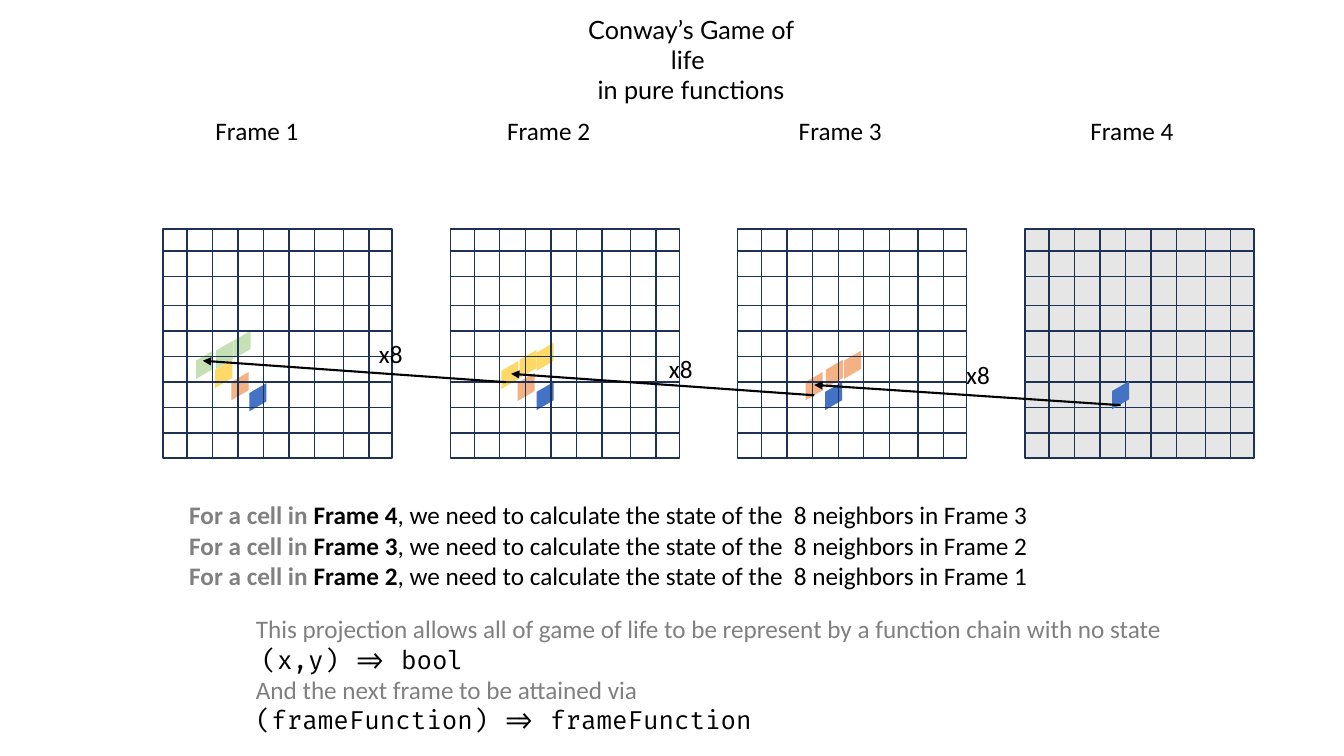
from typing import NamedTuple

from lxml import etree
from pptx import Presentation
from pptx import util as u
from pptx.dml.color import RGBColor
from pptx.enum import shapes, text
from pptx.oxml import ns

BLACK = RGBColor(0x00, 0x00, 0x00)
GRAY = RGBColor(0x80, 0x80, 0x80)
PALE_GRAY = RGBColor(0xE7, 0xE6, 0xE6)
NAVY = RGBColor(0x1E, 0x32, 0x56)
BLUE = RGBColor(0x44, 0x72, 0xC4)
ORANGE = RGBColor(0xF4, 0xB1, 0x83)
YELLOW = RGBColor(0xFF, 0xD9, 0x66)
GREEN = RGBColor(0xC5, 0xE0, 0xB4)

GRID_LEFT, GRID_TOP, GRID_SIZE, GRID_STEP = 4.11, 5.77, 5.77, 7.24
CELL_WIDTH, CELL_HEIGHT, CELL_RISE = 0.43, 0.46, 0.25
LINE_BREAK = "\n"


class Band(NamedTuple):
    left: float
    top: float
    height: float
    rotation: int = 0


class Cell(NamedTuple):
    x: float
    y: float
    color: RGBColor


class Arrow(NamedTuple):
    start: tuple[float, float]
    end: tuple[float, float]


class Run(NamedTuple):
    words: str
    color: RGBColor = BLACK
    bold: bool = False
    font: str = "Calibri"


class Label(NamedTuple):
    left: float
    top: float
    width: float
    height: float
    paragraphs: list[list[Run]]
    wrap: bool = True
    centered: bool = False


# Bands whose edges form the grid lines, relative to the grid corner
BANDS = [
    Band(0, 0, GRID_SIZE),
    Band(0, 1.93, 1.93),
    Band(0, 2.57, 0.64),
    Band(0, 4.5, 0.64),
    Band(0, 0.56, 0.64),
    Band(-0.03, 1.93, 1.93, 90),
    Band(-0.03, 2.57, 0.64, 90),
    Band(-1.96, 2.57, 0.64, 90),
    Band(1.98, 2.57, 0.64, 90),
]

# Cell centres, from frame 4 back to frame 1
CELLS = [
    Cell(28.24, 9.96, BLUE),
    Cell(21.01, 9.98, BLUE),
    Cell(20.52, 9.73, ORANGE),
    Cell(21.03, 9.42, ORANGE),
    Cell(21.49, 9.19, ORANGE),
    Cell(13.26, 9.75, ORANGE),
    Cell(13.74, 9.98, BLUE),
    Cell(12.85, 9.45, YELLOW),
    Cell(13.31, 9.17, YELLOW),
    Cell(13.74, 8.99, YELLOW),
    Cell(6.05, 9.73, ORANGE),
    Cell(6.5, 10.01, BLUE),
    Cell(5.64, 9.42, YELLOW),
    Cell(5.16, 9.19, GREEN),
    Cell(5.66, 8.94, GREEN),
    Cell(6.1, 8.69, GREEN),
]

ARROWS = [
    Arrow((28.24, 10.21), (20.52, 9.7)),
    Arrow((20.52, 9.96), (12.88, 9.42)),
    Arrow((12.75, 9.63), (5.11, 9.09)),
]


def dependency(frame: int) -> list[Run]:
    return [
        Run("For a cell in ", GRAY, True),
        Run(f"Frame {frame}", bold=True),
        Run(f", we need to calculate the state of the  8 neighbors in Frame {frame - 1}"),
    ]


LABELS = [
    *(Label(5.18 + 7.35 * i, 2.79, 2.62, 1.02, [[Run(f"Frame {i + 1}")]], wrap=False)
      for i in range(4)),
    *(Label(left, top, 1.12, 1.02, [[Run("x8")]], wrap=False)
      for left, top in [(24.1, 8.94), (16.61, 8.79), (9.3, 8.41)]),
    Label(4.52, 12.47, 22.35, 2.57, [
        [*dependency(4), Run(LINE_BREAK), *dependency(3)],
        dependency(2),
    ]),
    Label(6.2, 15.34, 23.44, 3.33, [
        [Run("This projection allows all of game of life to be represent "
             "by a function chain with no state", GRAY)],
        [Run(" ", GRAY), Run("(x,y) => bool", font="Fira Code")],
        [Run("And the next frame to be attained via", GRAY)],
        [Run("(frameFunction) => frameFunction", font="Fira Code")],
    ]),
    Label(14.2, 0.23, 6.43, 1.8, [
        [Run("Conway’s Game of life ", font="Lato")],
        [Run("in pure functions", font="Lato")],
    ], centered=True),
]


def draw_grid(slide, index: int, fill: RGBColor | None = None) -> None:
    group = slide.shapes.add_group_shape()
    left = GRID_LEFT + index * GRID_STEP
    for number, band in enumerate(BANDS):
        shape = group.shapes.add_shape(
            shapes.MSO_SHAPE.RECTANGLE, u.Cm(left + band.left), u.Cm(GRID_TOP + band.top),
            u.Cm(GRID_SIZE), u.Cm(band.height))
        shape.rotation = band.rotation
        shape.shadow.inherit = False
        if fill is not None and number == 0:
            shape.fill.solid()
            shape.fill.fore_color.rgb = fill
        else:
            shape.fill.background()
        shape.line.color.rgb = NAVY
        shape.line.width = u.Pt(1)


def draw_cell(slide, cell: Cell) -> None:
    left, right = cell.x - CELL_WIDTH / 2, cell.x + CELL_WIDTH / 2
    top = cell.y - (CELL_HEIGHT + CELL_RISE) / 2
    corners = [
        (left, top + CELL_RISE), (right, top),
        (right, top + CELL_HEIGHT), (left, top + CELL_RISE + CELL_HEIGHT),
    ]
    points = [(u.Cm(x), u.Cm(y)) for x, y in corners]
    builder = slide.shapes.build_freeform(*points[0])
    builder.add_line_segments(points[1:], close=True)
    shape = builder.convert_to_shape()
    shape.shadow.inherit = False
    shape.fill.solid()
    shape.fill.fore_color.rgb = cell.color
    shape.line.fill.background()


def draw_arrow(slide, arrow: Arrow) -> None:
    connector = slide.shapes.add_connector(
        shapes.MSO_CONNECTOR.STRAIGHT, *map(u.Cm, arrow.start + arrow.end))
    connector.line.color.rgb = BLACK
    connector.line.width = u.Pt(1.5)
    etree.SubElement(connector.line._get_or_add_ln(), ns.qn("a:tailEnd"), type="triangle")
    etree.SubElement(connector._element.spPr, ns.qn("a:effectLst"))


def draw_label(slide, label: Label) -> None:
    box = slide.shapes.add_textbox(*map(u.Cm, label[:4]))
    frame = box.text_frame
    frame.word_wrap = label.wrap
    for number, runs in enumerate(label.paragraphs):
        paragraph = frame.add_paragraph() if number else frame.paragraphs[0]
        if label.centered:
            paragraph.alignment = text.PP_ALIGN.CENTER
        for item in runs:
            if item.words == LINE_BREAK:
                paragraph.add_line_break()
                continue
            run = paragraph.add_run()
            run.text = item.words
            run.font.name = item.font
            run.font.size = u.Pt(18)
            run.font.bold = item.bold
            run.font.color.rgb = item.color


presentation = Presentation()
presentation.slide_width = u.Cm(33.87)
presentation.slide_height = u.Cm(19.05)
slide = presentation.slides.add_slide(presentation.slide_layouts[6])

# The shaded grid lies under the cells, the open grids over them
draw_grid(slide, 3, PALE_GRAY)
for cell in CELLS:
    draw_cell(slide, cell)
for index in (2, 1, 0):
    draw_grid(slide, index)

# Arrows and wording
for arrow in ARROWS:
    draw_arrow(slide, arrow)
for label in LABELS:
    draw_label(slide, label)

presentation.save("out.pptx")
